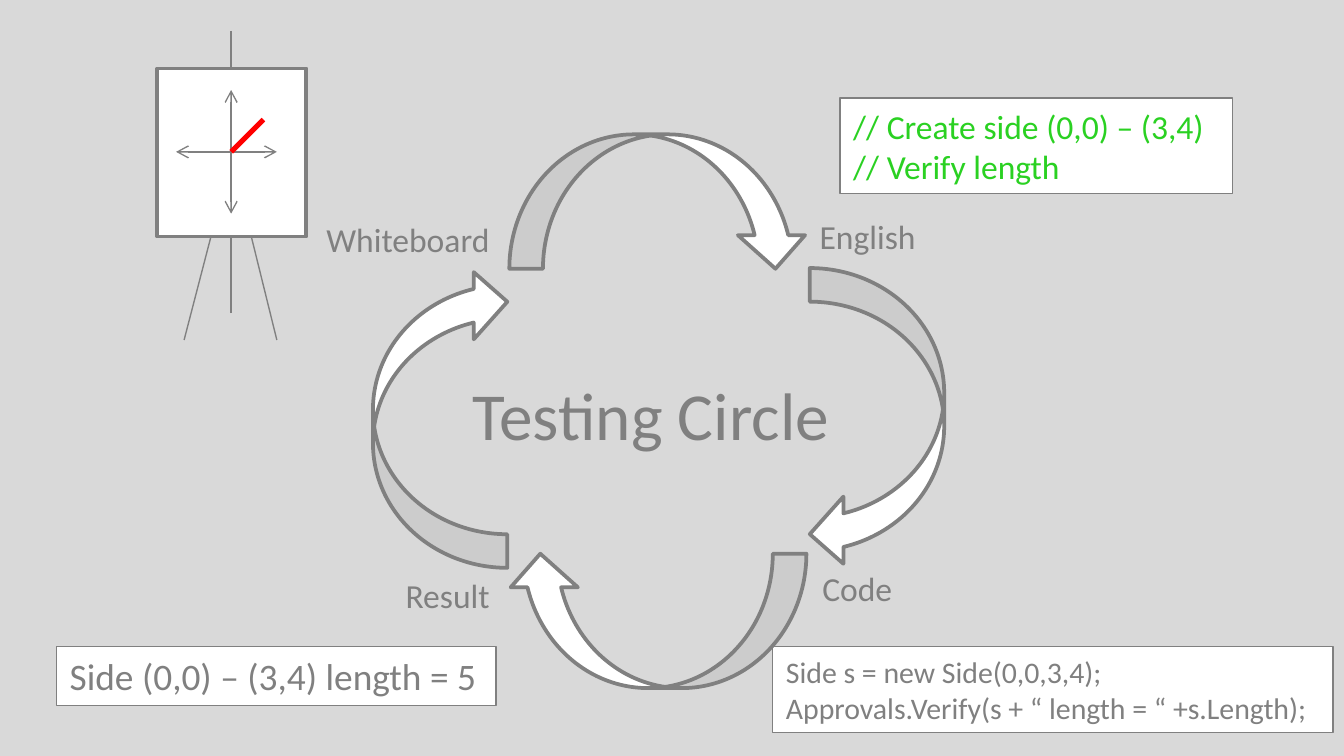
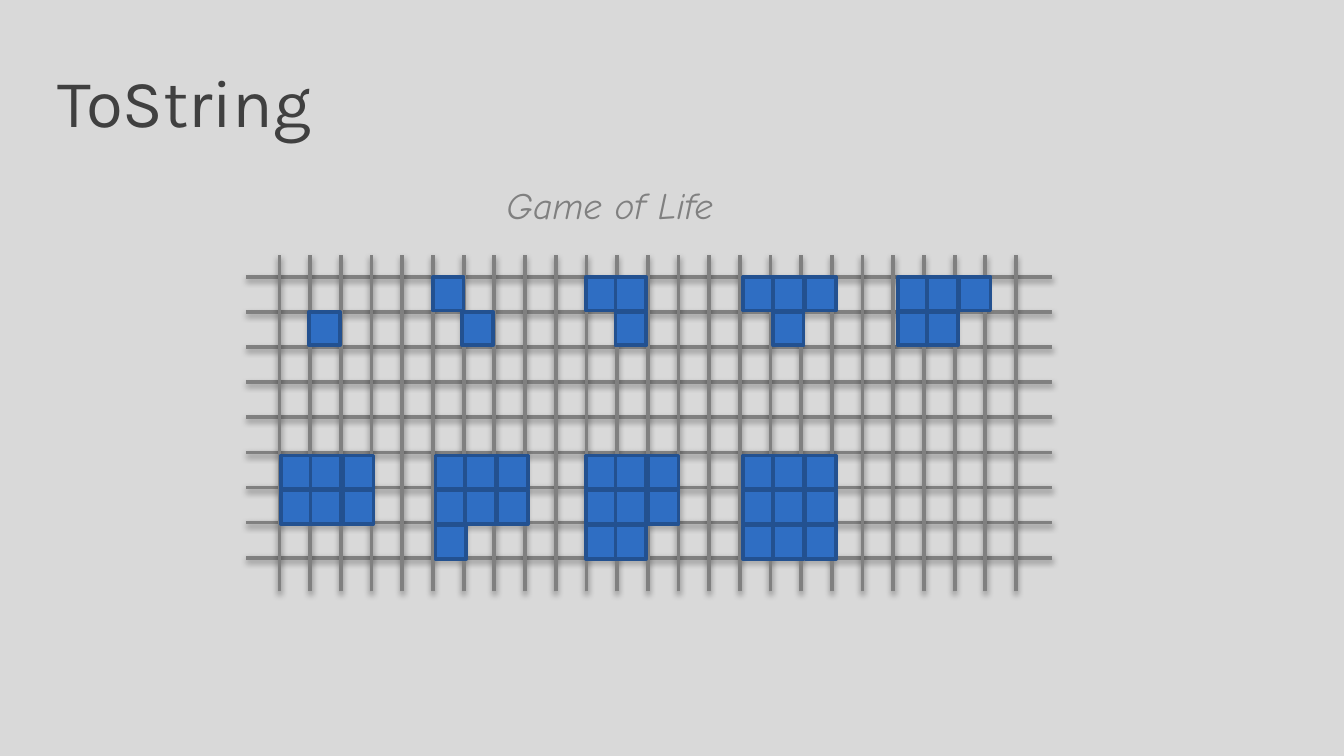
"""Build the testing circle slide and the Game of Life grid slide."""
from typing import NamedTuple, Union

import pptx
import pptx.dml.color
import pptx.enum.shapes
import pptx.enum.text
import pptx.oxml
import pptx.oxml.ns
import pptx.shapes.autoshape
import pptx.shapes.shapetree
import pptx.slide
import pptx.text.text
import pptx.util

Inches = pptx.util.Inches
Pt = pptx.util.Pt
RGBColor = pptx.dml.color.RGBColor
MSO_SHAPE = pptx.enum.shapes.MSO_SHAPE
MSO_AUTO_SIZE = pptx.enum.text.MSO_AUTO_SIZE
Shapes = Union[pptx.shapes.shapetree.SlideShapes, pptx.shapes.shapetree.GroupShapes]

SLIDE_WIDTH = Inches(10)
SLIDE_HEIGHT = SLIDE_WIDTH * 9 // 16

BACKGROUND = RGBColor(0xD9, 0xD9, 0xD9)
WHITE = RGBColor(0xFF, 0xFF, 0xFF)
GRAY = RGBColor(0x80, 0x80, 0x80)
DARK = RGBColor(0x40, 0x40, 0x40)
GREEN = RGBColor(0x2A, 0xD1, 0x22)
RED = RGBColor(0xFF, 0x00, 0x00)
CELL_FILL = RGBColor(0x2F, 0x6E, 0xC3)
CELL_LINE = RGBColor(0x23, 0x51, 0x90)

BODY_FONT = "Calibri"
TITLE_FONT = "Karla"
CAPTION_FONT = "Comic Neue"

GRID_LEFT, GRID_TOP = 2.08, 2.06
GRID_COLS, GRID_ROWS = 24, 8
COL_STEP, ROW_STEP = 5.48 / GRID_COLS, 2.09 / GRID_ROWS
CELL_X = (0, 0.22, 0.46)
CELL_Y = (0, 0.26, 0.52)

NO_EFFECTS = f"<a:effectLst {pptx.oxml.ns.nsdecls('a')}/>"
SHADOW = (
    f"<a:effectLst {pptx.oxml.ns.nsdecls('a')}>"
    '<a:outerShdw blurRad="40000" dist="20000" dir="5400000" rotWithShape="0">'
    '<a:srgbClr val="000000"><a:alpha val="38000"/></a:srgbClr>'
    "</a:outerShdw></a:effectLst>"
)


class Box(NamedTuple):
    """Frame in inches."""

    x: float
    y: float
    w: float
    h: float


class Style(NamedTuple):
    """Character formatting."""

    size: float
    color: RGBColor = GRAY
    font: str = BODY_FONT
    italic: bool = False


class Label(NamedTuple):
    """Text lines in a frame."""

    box: Box
    lines: tuple[str, ...]
    style: Style


class Arrow(NamedTuple):
    """Curved arrow with its rotation."""

    box: Box
    rotation: float


class Stroke(NamedTuple):
    """Straight line between two points."""

    x1: float
    y1: float
    x2: float
    y2: float
    width: float = 0.75
    color: RGBColor = GRAY
    arrows: bool = False
    shadow: bool = False


class Cluster(NamedTuple):
    """Live cells, marked with #, from a corner of the grid."""

    x: float
    y: float
    rows: tuple[str, ...]


ARROWS = (
    Arrow(Box(2.16, 2.61, 2.23, 1), 270),
    Arrow(Box(5.41, 2.61, 2.23, 1), 90),
    Arrow(Box(3.79, 1, 2.23, 1), 0),
)
BOTTOM_ARROW = Arrow(Box(3.77, 4.12, 2.23, 1), 180)
STEP = Style(18)
STEPS = (
    Label(Box(6, 1.56, 1.23, 0.4), ("English",), STEP),
    Label(Box(6.02, 4.18, 1.04, 0.5), ("Code",), STEP),
    Label(Box(2.92, 4.23, 0.84, 0.4), ("Result",), STEP),
    Label(Box(2.33, 1.58, 1.42, 0.4), ("Whiteboard",), STEP),
)
CENTER = Label(Box(3.42, 2.73, 2.94, 0.71), ("Testing Circle",), Style(36))
CARDS = (
    Label(
        Box(6.25, 0.73, 2.92, 0.71),
        ("// Create side (0,0) – (3,4)", "// Verify length"),
        Style(18, GREEN),
    ),
    Label(
        Box(5.75, 4.81, 4.17, 0.64),
        ("Side s = new Side(0,0,3,4);", "Approvals.Verify(s + “ length = “ +s.Length);"),
        Style(16),
    ),
    Label(Box(0.42, 4.81, 3.27, 0.44), ("Side (0,0) – (3,4) length = 5",), Style(20)),
)
BOARD = Box(1.17, 0.51, 1.11, 1.25)
EASEL = (
    Stroke(1.72, 0.23, 1.72, 0.51),
    Stroke(1.37, 2.53, 1.57, 1.76),
    Stroke(1.72, 2.33, 1.72, 1.76),
    Stroke(2.06, 2.53, 1.87, 1.76),
    Stroke(1.72, 0.67, 1.72, 1.59, arrows=True),
    Stroke(1.31, 1.13, 2.06, 1.13, arrows=True),
    Stroke(1.72, 1.13, 1.96, 0.89, 2.75, RED),
)
CAPTION = Label(
    Box(3.67, 1.31, 2.58, 0.44), ("Game of Life",), Style(20, GRAY, CAPTION_FONT, True)
)
TITLE = Label(Box(0.33, 0.4, 7.08, 0.7), ("ToString",), Style(36, DARK, TITLE_FONT))
CLUSTERS = (
    Cluster(2.08, 2.06, ("..", ".#")),
    Cluster(3.22, 2.06, ("#.", ".#")),
    Cluster(4.36, 2.06, ("##", ".#")),
    Cluster(5.53, 2.06, ("###", ".#.")),
    Cluster(6.68, 2.06, ("###", "##.")),
    Cluster(2.09, 3.39, ("###", "###")),
    Cluster(3.24, 3.39, ("###", "###", "#..")),
    Cluster(4.36, 3.39, ("###", "###", "##.")),
    Cluster(5.53, 3.39, ("###", "###", "###")),
)


def frame(box: Box) -> tuple[int, ...]:
    """Return the frame as lengths."""
    return tuple(Inches(v) for v in box)


def write(tf: pptx.text.text.TextFrame, label: Label) -> None:
    """Fill a text frame with left-aligned lines."""
    tf.word_wrap = True
    for i, line in enumerate(label.lines):
        p = tf.add_paragraph() if i else tf.paragraphs[0]
        p.alignment = pptx.enum.text.PP_ALIGN.LEFT
        r = p.add_run()
        r.text = line
        r.font.name = label.style.font
        r.font.size = Pt(label.style.size)
        r.font.italic = label.style.italic
        r.font.color.rgb = label.style.color


def add_label(shapes: Shapes, label: Label) -> None:
    """Add a plain text box."""
    tf = shapes.add_textbox(*frame(label.box)).text_frame
    write(tf, label)
    tf.auto_size = MSO_AUTO_SIZE.SHAPE_TO_FIT_TEXT


def add_preset(
    shapes: Shapes,
    box: Box,
    kind: MSO_SHAPE = MSO_SHAPE.RECTANGLE,
    fill: RGBColor = WHITE,
    line: RGBColor = GRAY,
    width: float = 2,
) -> pptx.shapes.autoshape.Shape:
    """Add a filled and outlined preset shape."""
    sp = shapes.add_shape(kind, *frame(box))
    sp.shadow.inherit = False
    sp.fill.solid()
    sp.fill.fore_color.rgb = fill
    sp.line.color.rgb = line
    sp.line.width = Pt(width)
    return sp


def add_card(shapes: Shapes, card: Label) -> None:
    """Add a white text card with a thin outline."""
    sp = add_preset(shapes, card.box, width=0.75)
    write(sp.text_frame, card)
    sp.text_frame.auto_size = MSO_AUTO_SIZE.SHAPE_TO_FIT_TEXT


def add_arrow(shapes: Shapes, arrow: Arrow) -> None:
    """Add one curved arrow of the circle."""
    sp = add_preset(shapes, arrow.box, MSO_SHAPE.CURVED_DOWN_ARROW)
    sp.rotation = arrow.rotation


def add_stroke(shapes: Shapes, stroke: Stroke) -> None:
    """Add a straight connector."""
    ends = (Inches(v) for v in stroke[:4])
    cxn = shapes.add_connector(pptx.enum.shapes.MSO_CONNECTOR.STRAIGHT, *ends)
    cxn.line.color.rgb = stroke.color
    cxn.line.width = Pt(stroke.width)
    sp_pr = cxn.element.spPr
    if stroke.arrows:
        ln = sp_pr.find(pptx.oxml.ns.qn("a:ln"))
        for end in ("headEnd", "tailEnd"):
            xml = f'<a:{end} {pptx.oxml.ns.nsdecls("a")} type="arrow"/>'
            ln.append(pptx.oxml.parse_xml(xml))
    sp_pr.append(pptx.oxml.parse_xml(SHADOW if stroke.shadow else NO_EFFECTS))


def add_cluster(shapes: Shapes, cluster: Cluster) -> None:
    """Add the live cells of one cluster."""
    for dy, row in zip(CELL_Y, cluster.rows):
        for dx, mark in zip(CELL_X, row):
            if mark == "#":
                box = Box(cluster.x + dx, cluster.y + dy, 0.23, 0.25)
                add_preset(shapes, box, fill=CELL_FILL, line=CELL_LINE)


def build_circle(s: pptx.slide.Slide) -> None:
    """Draw the testing circle."""
    for arrow in ARROWS:
        add_arrow(s.shapes, arrow)
    for label in STEPS:
        add_label(s.shapes, label)
    easel = s.shapes.add_group_shape().shapes
    add_preset(easel, BOARD)
    for stroke in EASEL:
        add_stroke(easel, stroke)
    for card in CARDS:
        add_card(s.shapes, card)
    add_arrow(s.shapes, BOTTOM_ARROW)
    add_label(s.shapes, CENTER)


def build_grid(s: pptx.slide.Slide) -> None:
    """Draw the Game of Life grid under its title."""
    title = s.shapes.title
    title.left, title.top, title.width, title.height = frame(TITLE.box)
    write(title.text_frame, TITLE)
    title.text_frame.auto_size = MSO_AUTO_SIZE.NONE
    title.text_frame.vertical_anchor = pptx.enum.text.MSO_ANCHOR.MIDDLE
    add_label(s.shapes, CAPTION)
    rows = s.shapes.add_group_shape().shapes
    for i in range(GRID_ROWS + 1):
        y = GRID_TOP + i * ROW_STEP
        add_stroke(rows, Stroke(1.83, y, 7.83, y, 2, shadow=True))
    for i in range(GRID_COLS + 1):
        x = GRID_LEFT + i * COL_STEP
        add_stroke(s.shapes, Stroke(x, 4.4, x, 1.9, 2, shadow=True))
    for cluster in CLUSTERS:
        add_cluster(s.shapes, cluster)


def main() -> None:
    """Build and save the presentation."""
    prs = pptx.Presentation()
    prs.slide_width, prs.slide_height = SLIDE_WIDTH, SLIDE_HEIGHT
    fill = prs.slide_master.background.fill
    fill.solid()
    fill.fore_color.rgb = BACKGROUND
    title_only, blank = prs.slide_layouts[5], prs.slide_layouts[6]
    build_circle(prs.slides.add_slide(blank))
    build_grid(prs.slides.add_slide(title_only))
    prs.save("out.pptx")


if __name__ == "__main__":
    main()
